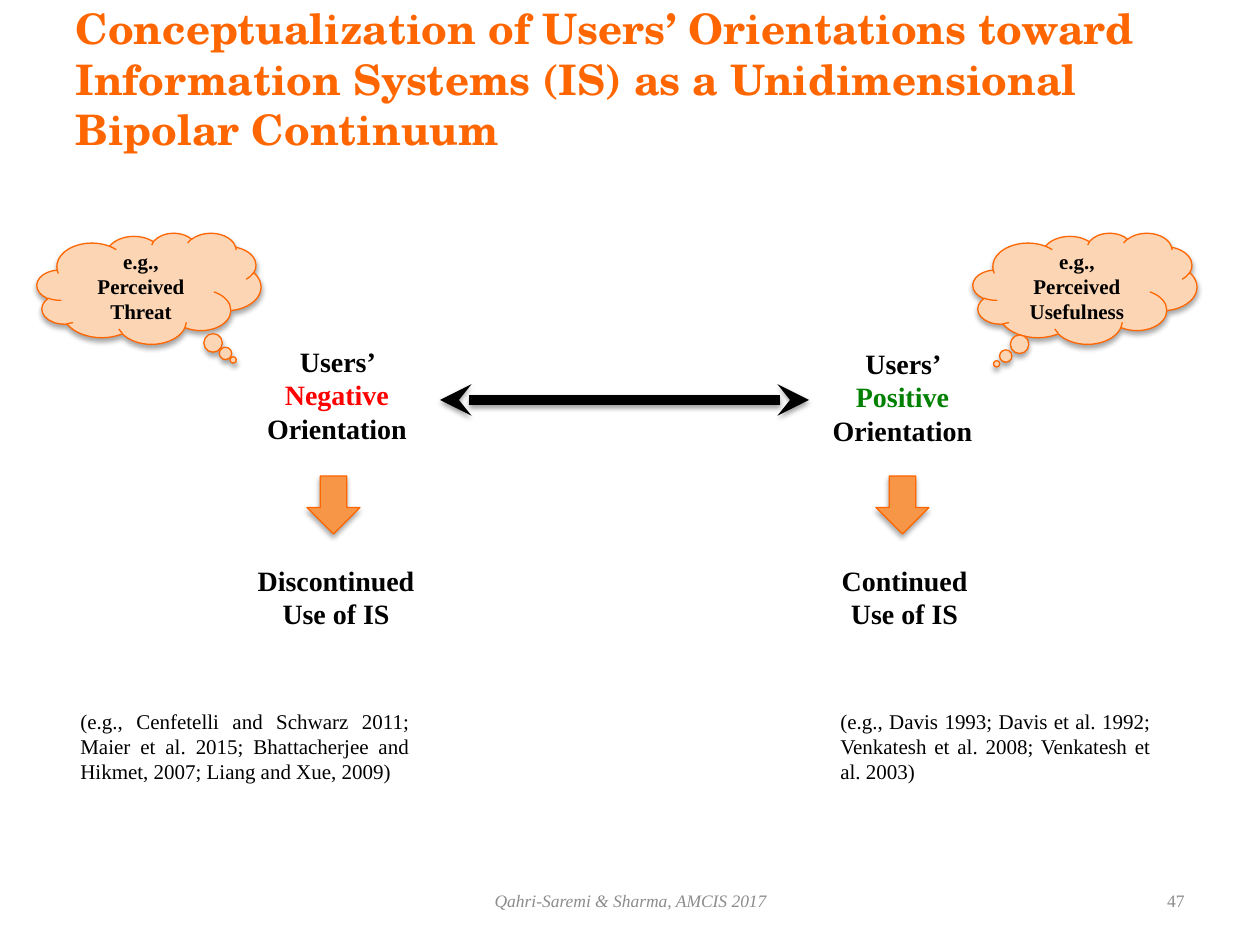
from lxml import etree
from pptx import Presentation
from pptx.dml.color import RGBColor
from pptx.enum.shapes import MSO_CONNECTOR, MSO_SHAPE
from pptx.enum.text import MSO_ANCHOR, MSO_AUTO_SIZE, PP_ALIGN
from pptx.oxml.ns import qn
from pptx.util import Emu, Pt

LEFT, CENTER, RIGHT, JUSTIFY = PP_ALIGN.LEFT, PP_ALIGN.CENTER, PP_ALIGN.RIGHT, PP_ALIGN.JUSTIFY
TOP, MIDDLE = MSO_ANCHOR.TOP, MSO_ANCHOR.MIDDLE
CLOUD, DOWN_ARROW = MSO_SHAPE.CLOUD_CALLOUT, MSO_SHAPE.DOWN_ARROW
PX = 914400 / 126
SERIF = "Times New Roman"
ORANGE, BLACK, GRAY = "FF6600", "000000", "8C8C8C"


def write_text(shape, runs, alignment, anchor, **font_format):
    frame = shape.text_frame
    frame.word_wrap = True
    frame.auto_size = MSO_AUTO_SIZE.NONE
    frame.vertical_anchor = anchor
    paragraph = frame.paragraphs[0]
    paragraph.alignment = alignment
    for text, color in runs:
        run = paragraph.add_run()
        run.text = text
        run.font.color.rgb = RGBColor.from_string(color)
        for name, value in font_format.items():
            setattr(run.font, name, value)


def add_shadow(shape, opacity, distance):
    properties = shape._element.spPr
    effects = etree.SubElement(properties, qn("a:effectLst"))
    shadow = etree.SubElement(effects, qn("a:outerShdw"), blurRad=str(Pt(3.1)),
                              dist=str(Pt(distance)), dir="5400000", rotWithShape="0")
    color = etree.SubElement(shadow, qn("a:srgbClr"), val=BLACK)
    etree.SubElement(color, qn("a:alpha"), val=str(opacity * 1000))


presentation = Presentation()
presentation.slide_width, presentation.slide_height = Emu(round(1260 * PX)), Emu(round(945 * PX))
slide = presentation.slides.add_slide(presentation.slide_layouts[5])
shapes = slide.shapes

title = shapes.title
title_box = {"left": 63, "top": 20, "width": 1134, "height": 117}
for name, value in title_box.items():
    setattr(title, name, Emu(round(value * PX)))
title_text = "Conceptualization of Users’ Orientations toward Information Systems (IS) as a Unidimensional Bipolar Continuum"
write_text(title, [(title_text, ORANGE)], LEFT, MIDDLE,
           name="TeX Gyre Schola", size=Pt(24), bold=True)

continuum = shapes.add_connector(MSO_CONNECTOR.STRAIGHT,
                                 *[Emu(round(value * PX)) for value in (440, 400, 809, 400)])
continuum.line.color.rgb = RGBColor.from_string(BLACK)
continuum.line.width = Pt(6)
line_properties = continuum.line._get_or_add_ln()
for end in ("a:headEnd", "a:tailEnd"):
    etree.SubElement(line_properties, qn(end), type="stealth")
add_shadow(continuum, 38, 1.6)

heading = {"size": Pt(16), "bold": True}
reference = {"size": Pt(12)}
text_boxes = [
    ((236, 338, 202, 115), [("Users’ ", BLACK), ("Negative", "FF0000"), (" Orientation", BLACK)],
     CENTER, TOP, heading),
    ((813, 340, 179, 115), [("Users’ ", BLACK), ("Positive", "008000"), (" Orientation", BLACK)],
     CENTER, TOP, heading),
    ((231, 557, 210, 81), [("Discontinued Use of IS", BLACK)], CENTER, TOP, heading),
    ((813, 557, 183, 81), [("Continued Use of IS", BLACK)], CENTER, TOP, heading),
    ((68, 702, 354, 89),
     [("(e.g., Cenfetelli and Schwarz 2011; Maier et al. 2015; Bhattacherjee and Hikmet, 2007; Liang and Xue, 2009)", BLACK)],
     JUSTIFY, TOP, reference),
    ((828, 702, 335, 89),
     [("(e.g., Davis 1993; Davis et al. 1992; Venkatesh et al. 2008; Venkatesh et al. 2003)", BLACK)],
     JUSTIFY, TOP, reference),
    ((431, 876, 399, 50), [("Qahri-Saremi & Sharma, AMCIS 2017", GRAY)], CENTER, MIDDLE,
     {"size": Pt(10), "italic": True}),
    ((903, 876, 294, 50), [("47", GRAY)], RIGHT, MIDDLE, {"size": Pt(10)}),
]
for box, runs, alignment, anchor, font_format in text_boxes:
    text_box = shapes.add_textbox(*[Emu(round(value * PX)) for value in box])
    write_text(text_box, runs, alignment, anchor, name=SERIF, **font_format)

callouts_and_arrows = [
    (CLOUD, (37, 233, 224, 111), "FCD5B5", (0.376, 0.644), "e.g., Perceived Threat"),
    (CLOUD, (973, 233, 224, 111), "FCD5B5", (-0.394, 0.679), "e.g., Perceived Usefulness"),
    (DOWN_ARROW, (307, 476, 53, 58), "F79646", (), ""),
    (DOWN_ARROW, (876, 476, 53, 58), "F79646", (), ""),
]
for kind, box, fill, adjustments, text in callouts_and_arrows:
    shape = shapes.add_shape(kind, *[Emu(round(value * PX)) for value in box])
    shape.fill.solid()
    shape.fill.fore_color.rgb = RGBColor.from_string(fill)
    shape.line.color.rgb = RGBColor.from_string(ORANGE)
    shape.line.width = Pt(0.75)
    add_shadow(shape, 35, 1.8)
    for index, value in enumerate(adjustments):
        shape.adjustments[index] = value
    if text:
        write_text(shape, [(text, BLACK)], CENTER, MIDDLE, name=SERIF, size=Pt(12), bold=True)

presentation.save("out.pptx")
